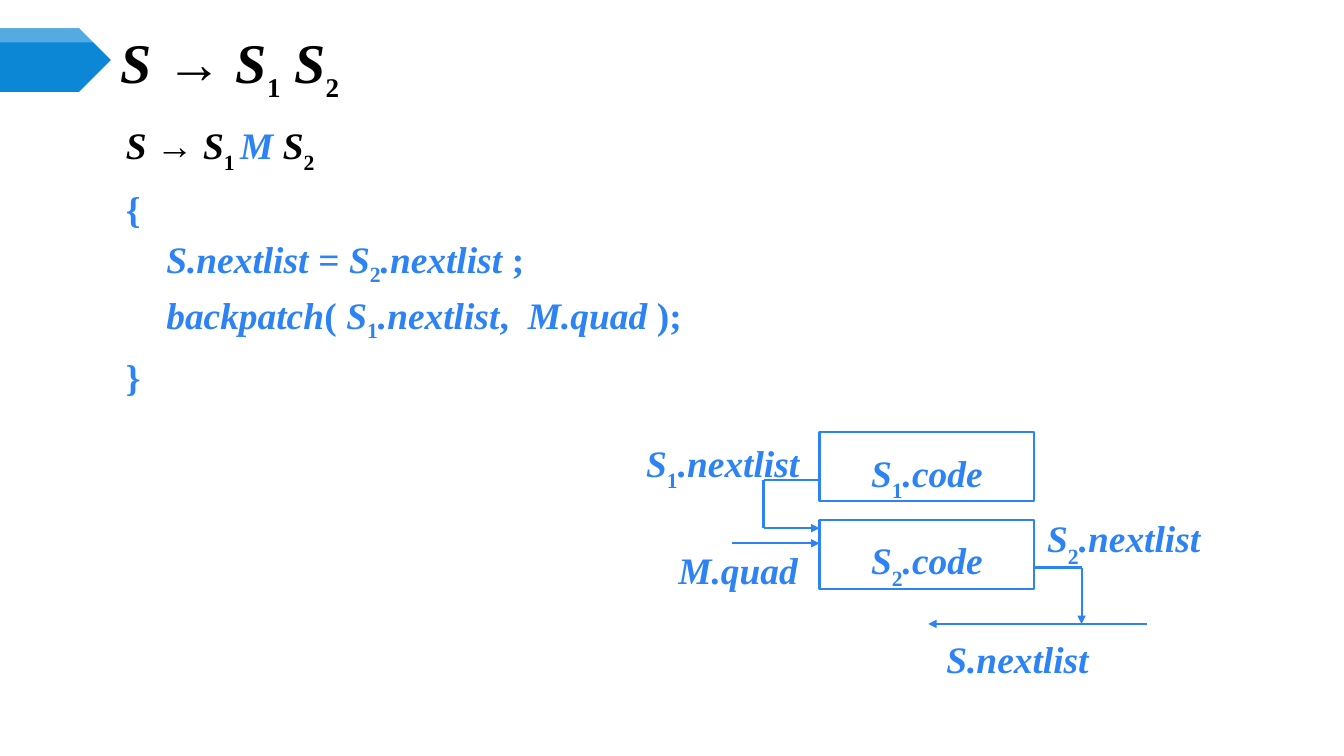
"""Build the slide on backpatching for the production S → S1 S2."""
from lxml.etree import SubElement
from pptx import Presentation
from pptx.dml.color import RGBColor
from pptx.enum.shapes import MSO_CONNECTOR, MSO_SHAPE
from pptx.enum.text import MSO_ANCHOR, MSO_AUTO_SIZE, PP_ALIGN
from pptx.oxml.ns import qn
from pptx.util import Pt

BLACK, BLUE, WHITE = "000000", "2D83F4", "FFFFFF"


def rgb(value):
    return RGBColor.from_string(value)


def add_runs(p, parts, color=BLUE, size=26.7, sub_size=26.7, drop=-30):
    for text, style in parts:
        r = p.add_run()
        r.text = text
        r.font.name = "Times New Roman"
        r.font.size = Pt(sub_size if style == "sub" else size)
        r.font.bold = True
        r.font.italic = style == "italic"
        r.font.color.rgb = rgb(color)
        if style == "sub":
            r.font._element.set("baseline", str(drop * 1000))


prs = Presentation()
prs.slide_width, prs.slide_height = Pt(960), Pt(540)
s = prs.slides.add_slide(prs.slide_layouts[1])

for top, height, color in [(20.2, 45.4, "0B87D6"), (20.9, 9.4, WHITE)]:
    sp = s.shapes.add_shape(MSO_SHAPE.PENTAGON, 0, Pt(top), Pt(79.2), Pt(height))
    sp.shadow.inherit = False
    sp.fill.solid()
    sp.fill.fore_color.rgb = rgb(color)
    sp.line.fill.background()
SubElement(sp.fill._xPr.find(".//" + qn("a:srgbClr")), qn("a:alpha"), val="30000")

title = s.shapes.title
title.left, title.top, title.width, title.height = Pt(79.2), Pt(28.1), Pt(832.3), Pt(37.4)
tf = title.text_frame
tf.auto_size = MSO_AUTO_SIZE.NONE
tf.vertical_anchor = MSO_ANCHOR.MIDDLE
p = tf.paragraphs[0]
p.alignment = PP_ALIGN.LEFT
add_runs(p, [("S ", "italic"), ("→ ", ""), ("S", "italic"), ("1", "sub"),
             (" S", "italic"), ("2", "sub")], BLACK, 40, 33.3)

body = s.placeholders[1]
body.left, body.top, body.width, body.height = Pt(82.8), Pt(81.4), Pt(622), Pt(338.4)
tf = body.text_frame
tf.auto_size = MSO_AUTO_SIZE.NONE
lines = [
    (0, -30, [(BLACK, [("S ", "italic"), ("→ ", ""), ("S", "italic"), ("1 ", "sub")]),
              (BLUE, [("M ", "italic")]),
              (BLACK, [("S", "italic"), ("2", "sub")])]),
    (0, -30, [(BLUE, [("{", "")])]),
    (28.8, -25, [(BLUE, [("S.nextlist", "italic"), (" = ", ""), ("S", "italic"), ("2", "sub"),
                         (".nextlist ", "italic"), (";", "")])]),
    (28.8, -25, [(BLUE, [("backpatch", "italic"), ("( ", ""), ("S", "italic"), ("1", "sub"),
                         (".nextlist", "italic"), (",  ", ""), ("M.quad", "italic"),
                         (" );", "")])]),
    (0, -30, [(BLUE, [("}", "")])]),
]
for i, (indent, drop, groups) in enumerate(lines):
    p = tf.add_paragraph() if i else tf.paragraphs[0]
    p.alignment = PP_ALIGN.JUSTIFY
    p.line_spacing = Pt(40)
    p.space_before = Pt(0)
    pPr = p._p.get_or_add_pPr()
    pPr.set("marL", str(Pt(indent)))
    pPr.set("indent", "0")
    SubElement(pPr, qn("a:buNone"))
    for color, parts in groups:
        add_runs(p, parts, color, drop=drop)

connectors = [
    (522.7, 388.1, 585.4, 388.1, True),
    (772.6, 405.4, 772.6, 445.7, True),
    (727.2, 405.4, 772.6, 405.4, False),
    (545.4, 377.3, 545.4, 342.7, False),
    (545.4, 342.7, 601.9, 342.7, False),
    (545.4, 377.3, 585.4, 377.3, True),
    (819.4, 445.7, 663.1, 445.7, True),
]
for x1, y1, x2, y2, arrow in connectors:
    c = s.shapes.add_connector(MSO_CONNECTOR.STRAIGHT, Pt(x1), Pt(y1), Pt(x2), Pt(y2))
    c.line.color.rgb = rgb(BLUE)
    c.line.width = Pt(1.5)
    if arrow:
        SubElement(c.line._get_or_add_ln(), qn("a:tailEnd"), type="triangle")
    SubElement(c._element.spPr, qn("a:effectLst"))

labels = [
    (477.4, 384.5, 102.2, PP_ALIGN.LEFT, [("M.quad", "italic")]),
    (668.9, 448.6, 144.7, PP_ALIGN.LEFT, [("S.nextlist", "italic")]),
    (442.1, 308.2, 136.1, PP_ALIGN.RIGHT,
     [("S", "italic"), ("1", "sub"), (".nextlist", "italic")]),
    (740.9, 362.2, 136.1, PP_ALIGN.LEFT,
     [("S", "italic"), ("2", "sub"), (".nextlist", "italic")]),
]
for left, top, width, align, parts in labels:
    tf = s.shapes.add_textbox(Pt(left), Pt(top), Pt(width), Pt(39.6)).text_frame
    tf.word_wrap = True
    tf.margin_top = Pt(6)
    p = tf.paragraphs[0]
    p.alignment = align
    add_runs(p, parts)

for i, number in enumerate("12"):
    sp = s.shapes.add_shape(MSO_SHAPE.RECTANGLE, Pt(585.4), Pt(308.9 + 62.6 * i),
                            Pt(153.4), Pt(49))
    sp.shadow.inherit = False
    sp.fill.solid()
    sp.fill.fore_color.rgb = rgb(WHITE)
    sp.line.color.rgb = rgb(BLUE)
    sp.line.width = Pt(1.5)
    tf = sp.text_frame
    tf.vertical_anchor = MSO_ANCHOR.TOP
    p = tf.paragraphs[0]
    p.alignment = PP_ALIGN.CENTER
    p.line_spacing = Pt(46.7)
    add_runs(p, [("S", "italic"), (number, "sub"), (".code", "italic")])

prs.save("out.pptx")
